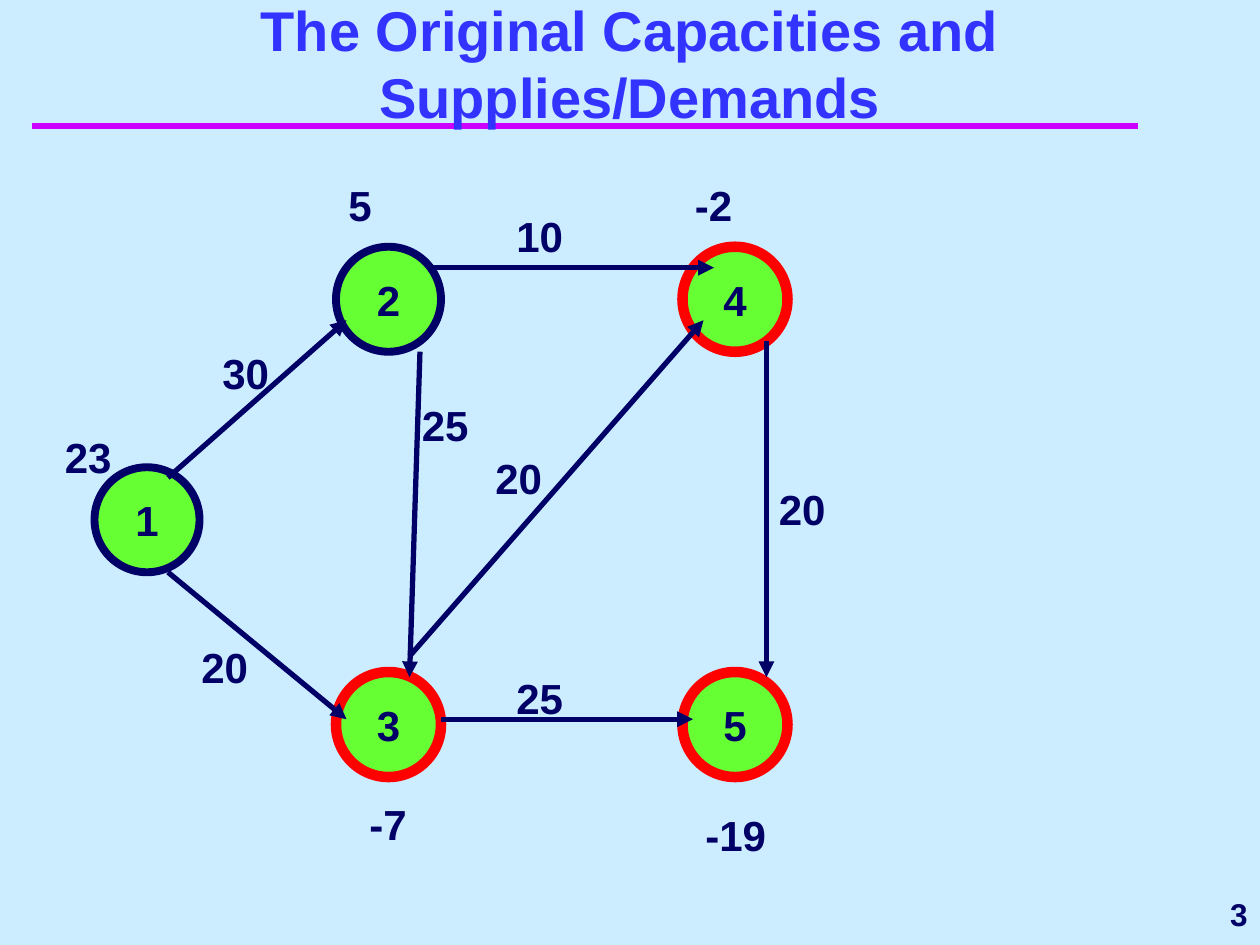
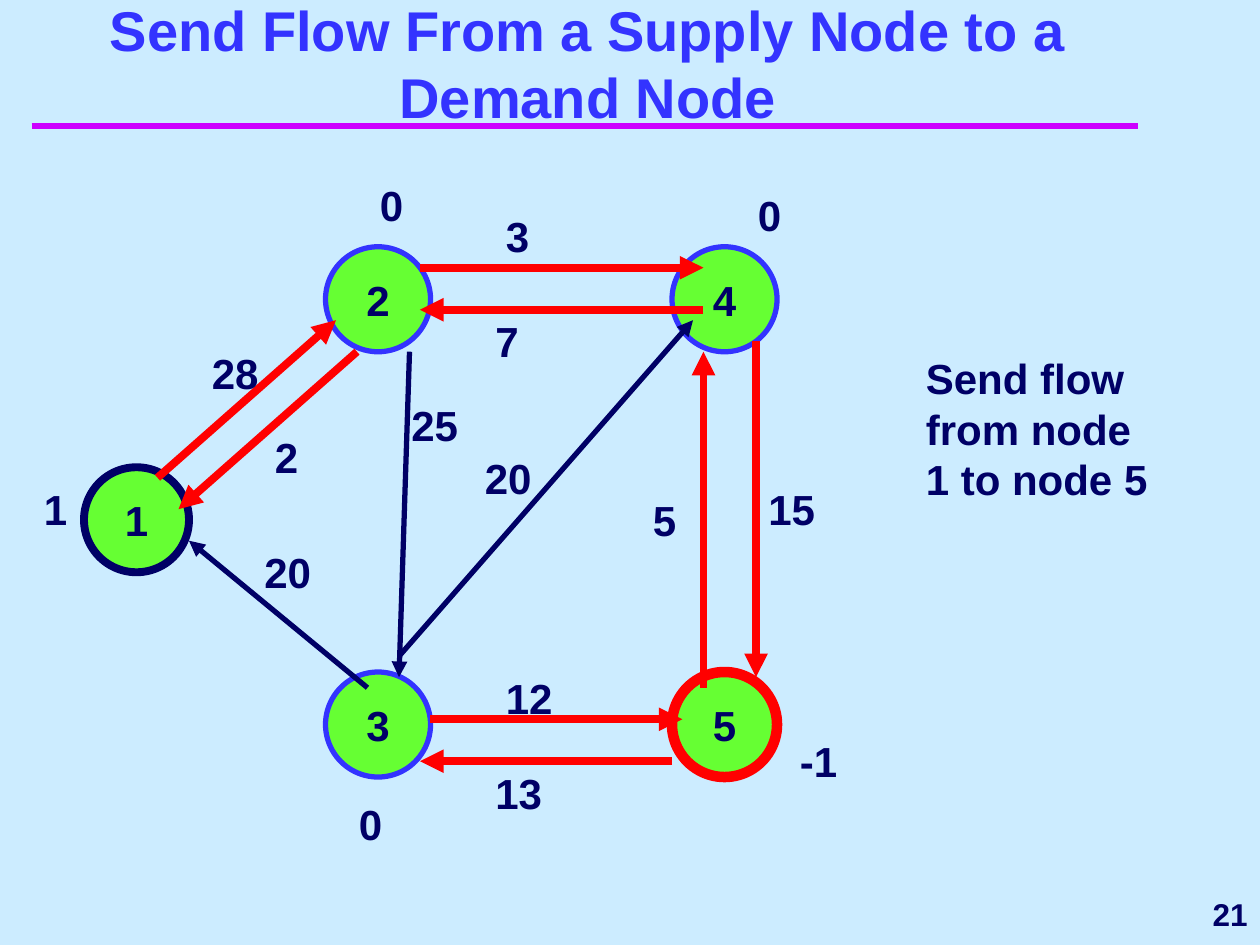
from lxml import etree
from pptx import Presentation
from pptx import util as u
from pptx.dml import color
from pptx.enum import shapes, text
from pptx.oxml import ns

NAVY, BLUE, RED, LIME, PINK, SKY = "000066", "3333FF", "FF0000", "66FF33", "CC00FF", "CCECFF"
LEFT, MID, RIGHT = text.PP_ALIGN.LEFT, text.PP_ALIGN.CENTER, text.PP_ALIGN.RIGHT
TOP, HALF, LOW = text.MSO_ANCHOR.TOP, text.MSO_ANCHOR.MIDDLE, text.MSO_ANCHOR.BOTTOM
rgb = color.RGBColor.from_string

deck = Presentation()
deck.slide_width, deck.slide_height = u.Inches(10), u.Inches(7.5)
cell = deck.slide_width // 120
back = deck.slide_master.background.fill
back.solid()
back.fore_color.rgb = rgb(SKY)


def write(shape, words, size=24, hue=NAVY, side=LEFT, anchor=TOP, wrap=True):
    frame = shape.text_frame
    frame.text = words
    frame.auto_size = text.MSO_AUTO_SIZE.NONE
    frame.word_wrap = wrap
    frame.vertical_anchor = anchor
    para = frame.paragraphs[0]
    para.alignment = side
    font = para.runs[0].font
    font.name, font.size, font.bold = "Arial", u.Pt(size), True
    font.color.rgb = rgb(hue)


def draw(page, ends, hue, width, tip=True):
    line = page.shapes.add_connector(shapes.MSO_CONNECTOR.STRAIGHT, *[int(n * cell) for n in ends])
    line.line.color.rgb = rgb(hue)
    line.line.width = u.Pt(width)
    if tip:
        etree.SubElement(line.line._get_or_add_ln(), ns.qn("a:tailEnd"), type="triangle")
    etree.SubElement(line.element.spPr, ns.qn("a:effectLst"))
    return line


nodes = [(9, 44.5), (32, 23.5), (32, 64), (65, 23.5), (65, 64)]

# ends, label place, on the flow path
arcs = [
    ((16, 45.5, 33, 30.5), (20, 32.5, 14), True),
    ((41, 25.5, 68, 25.5), (48, 19.5, 14), True),
    ((73, 32.5, 73, 64.5), (73, 45.5, 14), True),
    ((39, 62.5, 67, 30.5), (46, 42.5, 14), False),
    ((42, 68.5, 66, 68.5), (48, 63.5, 14), True),
    ((40, 33.5, 39, 64.5), (39, 37.5, 14), False),
]

plans = [
    dict(
        title="The Original Capacities and Supplies/Demands", span=(0, 120), num="3",
        shift=0, sent=False, caps=[30, 10, 20, 20, 25, 25],
        extra=[((16, 54.5, 33, 68.5), (18, 60.5, 8), False, 20)],
        stock=[(23, 5, 40.5), (5, 32, 16.5), (-7, 34, 75.5), (-2, 65, 16.5), (-19, 66, 76.5)],
        note="",
    ),
    dict(
        title="Send Flow From a Supply Node to a Demand Node", span=(5, 102), num="21",
        shift=-1, sent=True, caps=[28, 3, 15, 20, 12, 25],
        extra=[
            ((36, 65.5, 19, 51.5), (25, 51.5, 8), False, 20),
            ((65, 72.5, 41, 72.5), (47, 72.5, 14), True, 13),
            ((35, 33.5, 18, 48.5), (26, 40.5, 14), True, 2),
            ((68, 29.5, 41, 29.5), (47, 29.5, 14), True, 7),
            ((68, 65.5, 68, 33.5), (62, 46.5, 14), True, 5),
        ],
        stock=[(1, 4, 45.5), (0, 36, 16.5), (0, 34, 75.5), (0, 72, 17.5), (-1, 76, 69.5)],
        note="Send flow from node 1 to node 5",
    ),
]

for plan in plans:
    page = deck.slides.add_slide(deck.slide_layouts[5])
    shift = plan["shift"]
    head = page.shapes.title
    left, wide = plan["span"]
    head.left, head.top, head.width, head.height = left * cell, 8 * cell, wide * cell, 5 * cell
    write(head, plan["title"], 32, BLUE, MID, LOW)
    rule = draw(page, (3, 12, 108.4, 12), PINK, 4, False)
    head.element.addprevious(rule.element)

    for i, (x, y) in enumerate(nodes):
        have = plan["stock"][i][0]
        rim, width = (NAVY, 4.5) if have > 0 else (RED, 6) if have < 0 else (BLUE, 3)
        disc = page.shapes.add_shape(
            shapes.MSO_SHAPE.OVAL, (x + shift) * cell, int(y * cell), 10 * cell, 10 * cell)
        disc.shadow.inherit = False
        disc.fill.solid()
        disc.fill.fore_color.rgb = rgb(LIME)
        disc.line.color.rgb = rgb(rim)
        disc.line.width = u.Pt(width)
        write(disc, str(i + 1), side=MID, anchor=HALF, wrap=False)

    marks = [(str(have), x + shift, y, 9, 6) for have, x, y in plan["stock"]]
    flows = [arc + (cap,) for arc, cap in zip(arcs, plan["caps"])] + plan["extra"]
    for (x, y, x2, y2), (lx, ly, wide), path, cap in flows:
        hue, width = (RED, 4.5) if path and plan["sent"] else (NAVY, 3)
        draw(page, (x + shift, y, x2 + shift, y2), hue, width)
        marks.append((str(cap), lx + shift, ly, wide, 6))
    if plan["note"]:
        marks.append((plan["note"], 87, 33, 24, 15.6))
    for words, *area in marks:
        write(page.shapes.add_textbox(*[int(n * cell) for n in area]), words)

    foot = page.shapes.add_textbox(97 * cell, 84 * cell, 23 * cell, 6 * cell)
    write(foot, plan["num"], 18, side=RIGHT, anchor=HALF)

deck.save("out.pptx")
